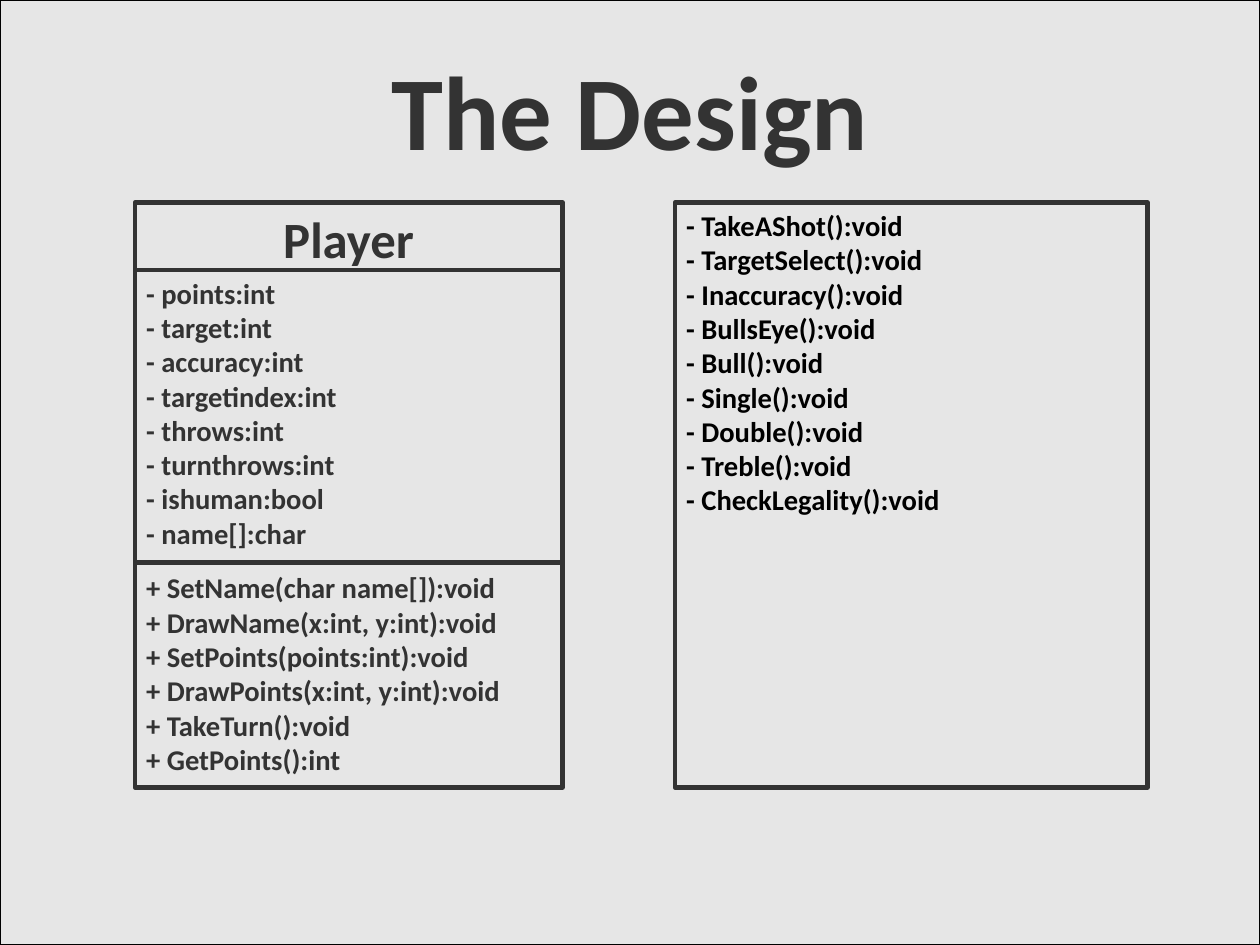
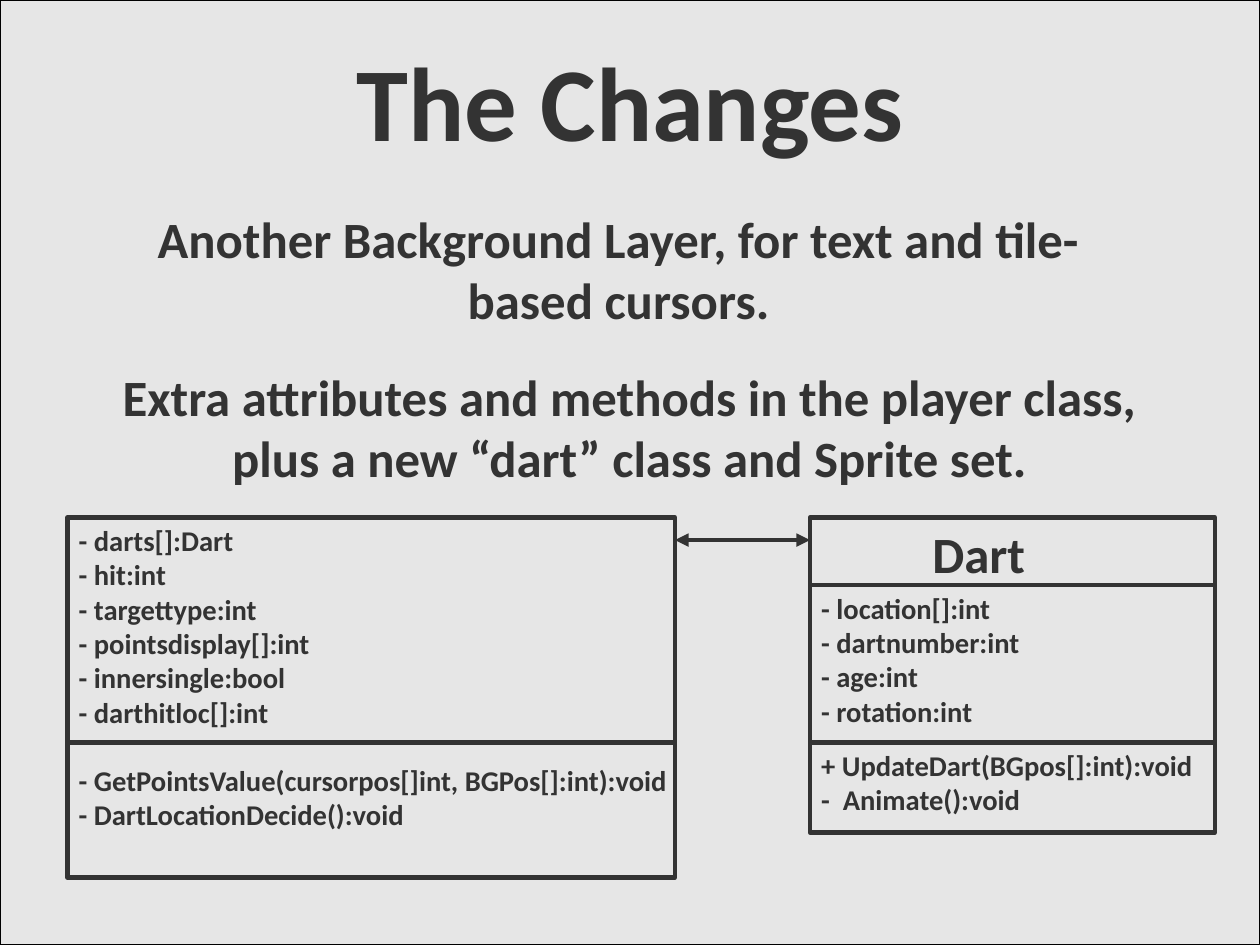
from lxml import etree
from pptx import Presentation
from pptx.dml.color import RGBColor
from pptx.enum.shapes import MSO_CONNECTOR, MSO_SHAPE
from pptx.enum.text import MSO_ANCHOR, MSO_AUTO_SIZE, PP_ALIGN
from pptx.oxml.ns import qn
from pptx.util import Cm, Pt

rgb = RGBColor.from_string
PAPER, INK, BLACK = "E6E6E6", "333333", "000000"
FONT = "Calibri"
LINE = Pt(2.83)
TITLE, HEAD, BODY = 66, 32, 18
COLS, ROWS = 28, 21

prs = Presentation()
prs.slide_width, prs.slide_height = Cm(COLS), Cm(ROWS)
COL, ROW = prs.slide_width / COLS, prs.slide_height / ROWS


def grid(col, row, cols, rows):
    """Turn grid columns and rows into left, top, width and height."""
    return int(col * COL), int(row * ROW), int(cols * COL), int(rows * ROW)


def write(sp, lines, size, color=INK, gap_before=None):
    """Write one paragraph per line; gap_before names a line set one line lower."""
    tf = sp.text_frame
    tf.word_wrap = True
    tf.auto_size = MSO_AUTO_SIZE.NONE
    tf.vertical_anchor = MSO_ANCHOR.TOP
    for i, line in enumerate(lines):
        p = tf.add_paragraph() if i else tf.paragraphs[0]
        p.alignment = PP_ALIGN.LEFT if size == BODY else PP_ALIGN.CENTER
        if line == gap_before:
            p.space_before = Pt(21.6)
        r = p.add_run()
        r.text = line
        r.font.name, r.font.size, r.font.bold = FONT, Pt(size), True
        r.font.color.rgb = rgb(color)


# Boxes, rules and texts are placed in grid columns and rows.
POINTS_VALUE = "- GetPointsValue(cursorpos[]int, BGPos[]:int):void"
slides = [
    {
        "title": ("The Design", 0.9),
        "boxes": [((3, 4.5, 9.5, 13), PAPER), ((15, 4.5, 10.5, 13), PAPER)],
        "rules": [(3, 6, 9.5), (3, 12.5, 9.5)],
        "arrows": [],
        "texts": [
            ((4, 4.5, 7.5, 1.6), ["Player"], HEAD),
            ((3, 6, 7.5, 7.2),
             ["- points:int", "- target:int", "- accuracy:int", "- targetindex:int",
              "- throws:int", "- turnthrows:int", "- ishuman:bool", "- name[]:char"], BODY),
            ((3, 12.55, 9.5, 6.45),
             ["+ SetName(char name[]):void", "+ DrawName(x:int, y:int):void",
              "+ SetPoints(points:int):void", "+ DrawPoints(x:int, y:int):void",
              "+ TakeTurn():void", "+ GetPoints():int"], BODY),
            ((15, 4.5, 10.5, 7.95),
             ["- TakeAShot():void", "- TargetSelect():void", "- Inaccuracy():void",
              "- BullsEye():void", "- Bull():void", "- Single():void", "- Double():void",
              "- Treble():void", "- CheckLegality():void"], BODY, BLACK),
        ],
    },
    {
        "title": ("The Changes", 0.7),
        "boxes": [((1.5, 11.5, 13.5, 8), PAPER), ((18, 11.5, 9, 7), None)],
        "rules": [(1.5, 16.5, 13.5), (18, 16.5, 9), (18, 13, 9)],
        "arrows": [(15, 12, 3)],
        "texts": [
            ((2.5, 4.5, 22.5, 3),
             ["Another Background Layer, for text and tile-based cursors."], HEAD),
            ((2, 8, 24, 3),
             ["Extra attributes and methods in the player class, "
              "plus a new “dart” class and Sprite set."], HEAD),
            ((1.5, 11.5, 14, 7.95),
             ["- darts[]:Dart", "- hit:int", "- targettype:int", "- pointsdisplay[]:int",
              "- innersingle:bool", "- darthitloc[]:int", POINTS_VALUE,
              "- DartLocationDecide():void"], BODY, INK, POINTS_VALUE),
            ((17.5, 11.5, 8.5, 1.6), ["Dart"], HEAD),
            ((18, 13, 8, 3.35),
             ["- location[]:int", "- dartnumber:int", "- age:int", "- rotation:int"], BODY),
            ((18, 16.5, 9.5, 3.2),
             ["+ UpdateDart(BGpos[]:int):void", "-  Animate():void"], BODY),
        ],
    },
]
backdrop = ((0, 0, COLS, ROWS), PAPER, BLACK, 0)
title_only = prs.slide_layouts[5]

for content in slides:
    s = prs.slides.add_slide(title_only)
    title, title_row = content["title"]
    heading = s.shapes.title
    heading.left, heading.top, heading.width, heading.height = grid(0, title_row, COLS, 3.1)
    write(heading, [title], TITLE)

    boxes = [(place, fill, INK, LINE) for place, fill in content["boxes"]]
    for place, fill, color, width in [backdrop] + boxes:
        sp = s.shapes.add_shape(MSO_SHAPE.RECTANGLE, *grid(*place))
        sp.shadow.inherit = False
        if fill:
            sp.fill.solid()
            sp.fill.fore_color.rgb = rgb(fill)
        else:
            sp.fill.background()
        sp.line.color.rgb = rgb(color)
        sp.line.width = width
    # The title stands in front of the backdrop.
    s.shapes[1]._element.addnext(heading._element)

    for col, row, cols in content["rules"] + content["arrows"]:
        x, y, w, h = grid(col, row, cols, 0)
        rule = s.shapes.add_connector(MSO_CONNECTOR.STRAIGHT, x, y, x + w, y)
        rule.line.color.rgb = rgb(INK)
        rule.line.width = LINE
        if (col, row, cols) in content["arrows"]:
            ln = rule.line._get_or_add_ln()
            for end in ("a:headEnd", "a:tailEnd"):
                etree.SubElement(ln, qn(end), type="triangle")
        etree.SubElement(rule._element.spPr, qn("a:effectLst"))

    for place, lines, size, *style in content["texts"]:
        write(s.shapes.add_textbox(*grid(*place)), lines, size, *style)

prs.save("out.pptx")
